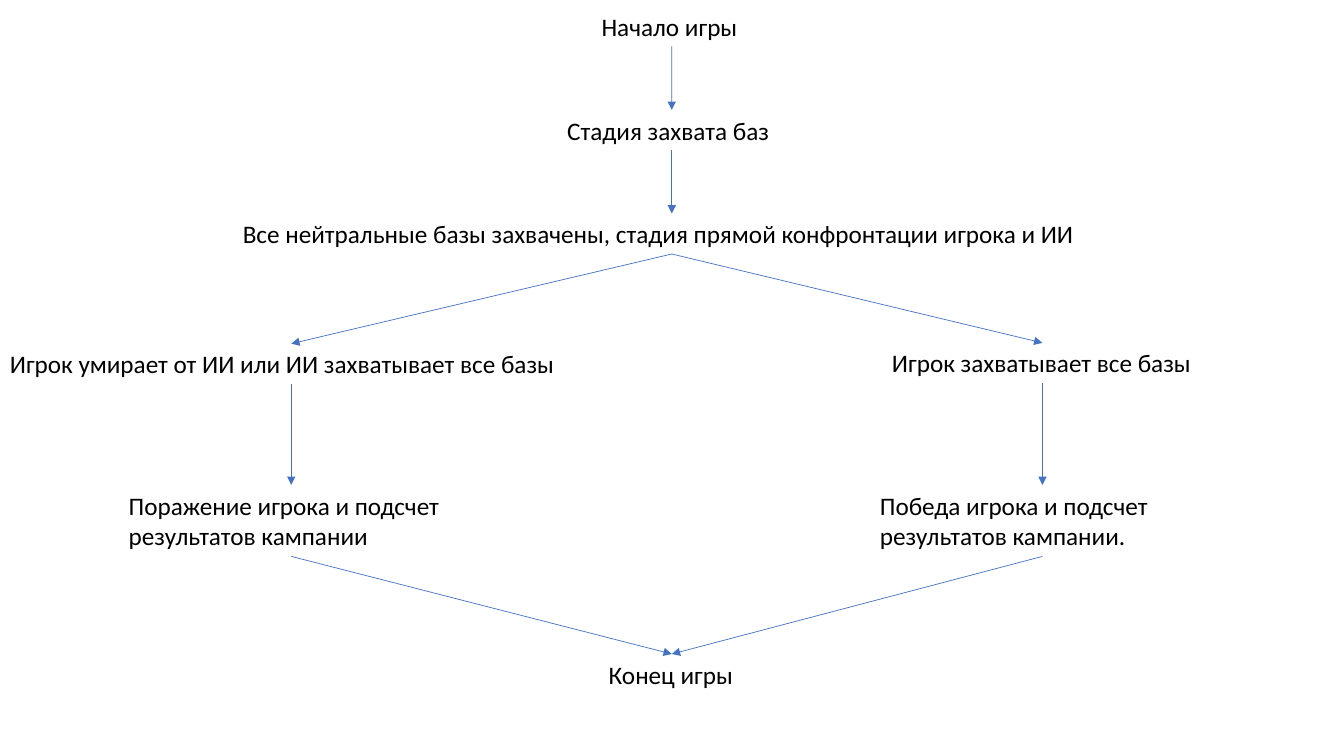
from lxml.etree import SubElement
from pptx import Presentation
from pptx.dml.color import RGBColor
from pptx.enum.shapes import MSO_CONNECTOR as Connector
from pptx.enum.text import MSO_AUTO_SIZE as AutoSize
from pptx.oxml.ns import qn
from pptx.util import Cm, Pt

BLACK = RGBColor(0x00, 0x00, 0x00)
BLUE = RGBColor(0x44, 0x72, 0xC4)

# Centre lines of the three columns, in cm
LEFT, MIDDLE, RIGHT = 7.34, 16.93, 26.27
ONE_LINE, TWO_LINES = 1.02, 1.8

# Connection sites of a rectangle
TOP_SITE, BOTTOM_SITE = 0, 2

# name: (text, centre, top, width, height), lengths in cm
STAGES = {
    "start": ("Начало игры", MIDDLE, 0.15, 4.04, ONE_LINE),
    "capture": ("Стадия захвата баз", MIDDLE, 2.77, 5.77, ONE_LINE),
    "conflict": ("Все нейтральные базы захвачены, стадия прямой конфронтации игрока и ИИ",
                 MIDDLE, 5.38, 22.12, ONE_LINE),
    "ai_wins": ("Игрок умирает от ИИ или ИИ захватывает все базы",
                LEFT, 8.66, 14.68, ONE_LINE),
    "player_wins": ("Игрок захватывает все базы", RIGHT, 8.64, 8.08, ONE_LINE),
    "defeat": ("Поражение игрока и подсчет результатов кампании",
               LEFT, 12.22, 8.69, TWO_LINES),
    "victory": ("Победа игрока и подсчет результатов кампании.",
                RIGHT, 12.22, 8.69, TWO_LINES),
    "end": ("Конец игры", MIDDLE, 16.48, 3.68, ONE_LINE),
}

TRANSITIONS = [
    ("start", "capture"),
    ("capture", "conflict"),
    ("conflict", "ai_wins"),
    ("conflict", "player_wins"),
    ("ai_wins", "defeat"),
    ("player_wins", "victory"),
    ("defeat", "end"),
    ("victory", "end"),
]


def add_stage(page, text, centre, top, width, height):
    """Add a caption centred on its column."""
    box = page.shapes.add_textbox(Cm(centre - width / 2), Cm(top), Cm(width), Cm(height))
    frame = box.text_frame
    frame.word_wrap = True
    frame.auto_size = AutoSize.SHAPE_TO_FIT_TEXT
    para = frame.paragraphs[0]
    para.text = text
    para.font.name = "Calibri"
    para.font.size = Pt(18)
    para.font.color.rgb = BLACK
    return box


def add_arrow(page, source, target):
    """Link the bottom of one stage to the top of the next."""
    arrow = page.shapes.add_connector(Connector.STRAIGHT, 0, 0, 0, 0)
    arrow.begin_connect(source, BOTTOM_SITE)
    arrow.end_connect(target, TOP_SITE)
    arrow.line.color.rgb = BLUE
    arrow.line.width = Pt(0.5)
    SubElement(arrow.line._get_or_add_ln(), qn("a:tailEnd"), type="triangle")
    SubElement(arrow._element.spPr, qn("a:effectLst"))


def main():
    deck = Presentation()
    deck.slide_width, deck.slide_height = Cm(33.87), Cm(19.05)
    page = deck.slides.add_slide(deck.slide_layouts[6])

    # Stages of the game
    boxes = {name: add_stage(page, *stage) for name, stage in STAGES.items()}

    # Transitions between stages
    for source, target in TRANSITIONS:
        add_arrow(page, boxes[source], boxes[target])

    deck.save("out.pptx")


if __name__ == "__main__":
    main()
